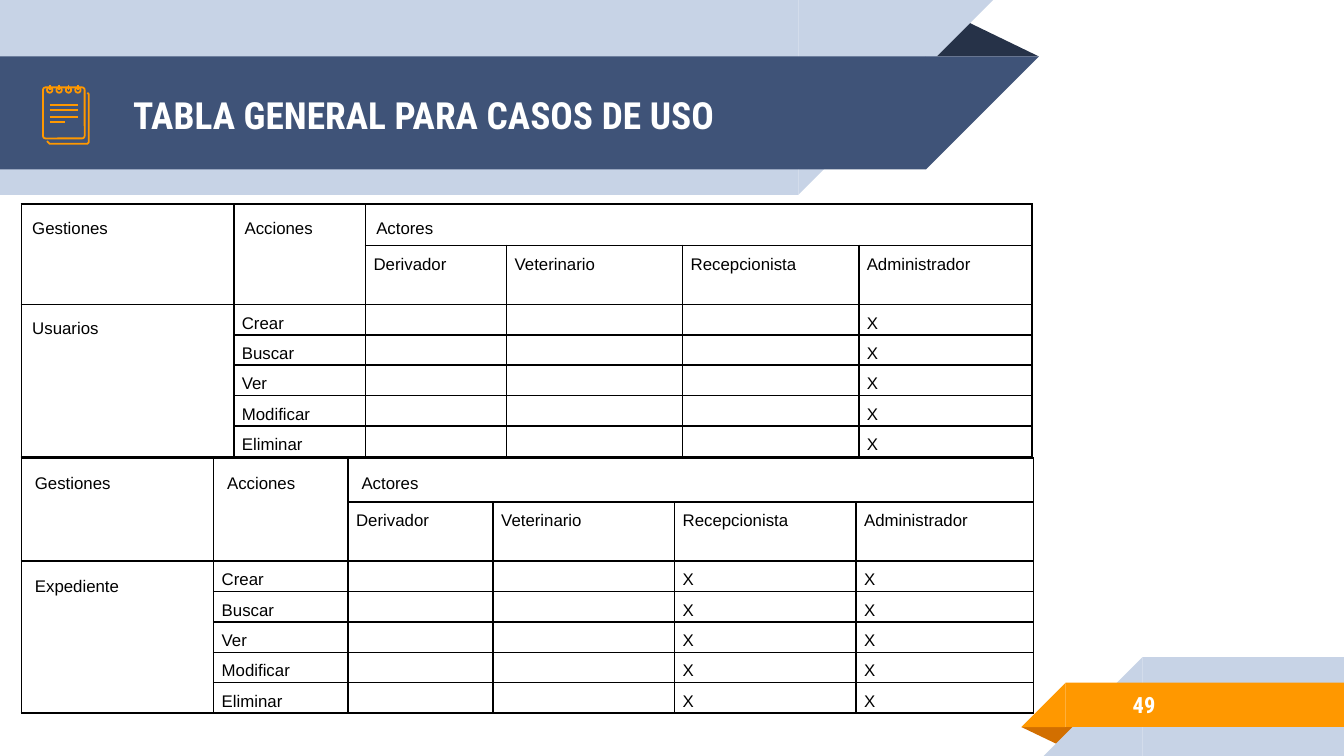
from lxml import etree
from pptx import Presentation
from pptx.dml.color import RGBColor
from pptx.enum.shapes import MSO_CONNECTOR, MSO_SHAPE
from pptx.enum.text import MSO_ANCHOR, PP_ALIGN
from pptx.oxml.ns import qn
from pptx.util import Inches, Pt

RECT = MSO_SHAPE.RECTANGLE
ROUND = MSO_SHAPE.ROUNDED_RECTANGLE
OVAL = MSO_SHAPE.OVAL
PEAK = MSO_SHAPE.ISOSCELES_TRIANGLE
WEDGE = MSO_SHAPE.RIGHT_TRIANGLE
STRAIGHT = MSO_CONNECTOR.STRAIGHT
MIDDLE = MSO_ANCHOR.MIDDLE
LEFT = PP_ALIGN.LEFT
JUSTIFY = PP_ALIGN.JUSTIFY

WHITE = RGBColor(0xFF, 0xFF, 0xFF)
BLACK = RGBColor(0, 0, 0)
NAVY = RGBColor(0x26, 0x32, 0x48)
BLUE = RGBColor(0x3F, 0x53, 0x78)
PALE = RGBColor(0xC7, 0xD3, 0xE6)
ORANGE = RGBColor(0xFF, 0x98, 0x00)
RUST = RGBColor(0xD2, 0x6F, 0x00)

COLS = 1000
UNIT = Inches(0.01)
HEAD = "Roboto Condensed"
BODY = "Arial"
ACTORS = ["Derivador", "Veterinario", "Recepcionista", "Administrador"]
ACTIONS = ["Crear", "Buscar", "Ver", "Modificar", "Eliminar"]


def grid(*cells):
    return [UNIT * n for n in cells]


def add_fill(slide, kind, box, color, turn=0):
    shape = slide.shapes.add_shape(kind, *grid(*box))
    shape.shadow.inherit = False
    shape.fill.solid()
    shape.fill.fore_color.rgb = color
    shape.line.fill.background()
    shape.rotation = turn
    if kind == PEAK:
        shape.adjustments[0] = 0.32


def set_line(shape):
    shape.line.color.rgb = ORANGE
    shape.line.width = Pt(0.96)


def add_ring(slide, kind, box):
    shape = slide.shapes.add_shape(kind, *grid(*box))
    shape.shadow.inherit = False
    shape.fill.background()
    set_line(shape)
    return shape


def add_stroke(slide, *ends):
    line = slide.shapes.add_connector(STRAIGHT, *grid(*ends))
    set_line(line)
    etree.SubElement(line.element.spPr, qn("a:effectLst"))


def add_path(slide, points):
    start, *rest = points
    pen = slide.shapes.build_freeform(*start, scale=UNIT)
    pen.add_line_segments(rest, close=False)
    shape = pen.convert_to_shape()
    shape.shadow.inherit = False
    shape.fill.background()
    set_line(shape)


def add_run(para, text, font, size, color, bold=False):
    run = para.add_run()
    run.text = text
    run.font.name = font
    run.font.size = Pt(size)
    run.font.color.rgb = color
    run.font.bold = bold


def set_text(shape, box, text, size):
    shape.left, shape.top, shape.width, shape.height = grid(*box)
    frame = shape.text_frame
    frame.word_wrap = True
    frame.vertical_anchor = MIDDLE
    frame.margin_left = frame.margin_right = Inches(0.1)
    frame.margin_top = frame.margin_bottom = Inches(0.1)
    para = frame.paragraphs[0]
    para.alignment = LEFT
    add_run(para, text, HEAD, size, WHITE, True)


def add_bands(slide):
    add_fill(slide, PEAK, (688, 14, 85, 28), NAVY)
    for top, width, side, color in ((0, 594, 145, PALE), (42, 689, 84, BLUE)):
        add_fill(slide, RECT, (0, top, width, side), color)
        add_fill(slide, WEDGE, (width, top, side, side), color, 90)
    add_fill(slide, PEAK, (760, 541, 43, 14), RUST, 180)
    for top, left, side, color in ((489, 850, 73.5, PALE), (508, 793, 33, ORANGE)):
        add_fill(slide, RECT, (left, top, COLS - left, side), color)
        add_fill(slide, WEDGE, (left - side, top, side, side), color, 270)


def add_pad(slide):
    add_path(slide, [(35, 105), (35.5, 106.5), (37, 107), (65, 107),
                     (66, 106), (66, 70), (65, 69)])
    cover = add_ring(slide, ROUND, (32, 65, 31, 38))
    cover.adjustments[0] = 0.06
    for row, end in ((78, 58), (82, 58), (87, 58), (91, 48)):
        add_stroke(slide, 37, row, end, row)
    for col in range(37, 59, 7):
        add_ring(slide, OVAL, (col - 2, 65, 4, 4))
        add_stroke(slide, col, 63, col, 67)


def set_cell(cell, text, pad):
    cell.margin_left = cell.margin_right = Inches(pad[0])
    cell.margin_top = cell.margin_bottom = Inches(pad[1])
    para = cell.text_frame.paragraphs[0]
    if text:
        para.alignment = JUSTIFY
        para.line_spacing = 1.5
        para.space_after = Pt(8)
        add_run(para, text, BODY, 9, BLACK)
    else:
        etree.SubElement(para._p, qn("a:endParaRPr"), sz="900")
    cell.fill.background()
    props = cell._tc.get_or_add_tcPr()
    for spot, side in enumerate(("lnL", "lnR", "lnT", "lnB")):
        edge = etree.Element(qn("a:" + side), w=str(Pt(1)))
        fill = etree.SubElement(edge, qn("a:solidFill"))
        etree.SubElement(fill, qn("a:srgbClr"), val=str(BLACK))
        props.insert(spot, edge)


def add_matrix(slide, top, widths, heights, name, marks, pad):
    rows = [["Gestiones", "Acciones", "Actores", "", "", ""],
            ["", "", *ACTORS]]
    rows += [[name if n == 0 else "", act, *marks]
             for n, act in enumerate(ACTIONS)]
    box = grid(16, top, sum(widths), sum(heights))
    table = slide.shapes.add_table(len(rows), len(widths), *box).table
    table.first_row = table.horz_banding = False
    for col, width in zip(table.columns, widths):
        col.width = UNIT * width
    for row, height in zip(table.rows, heights):
        row.height = UNIT * height
    large = {(0, 0), (0, 1), (0, 2), (2, 0)}
    for r, row in enumerate(rows):
        for c, text in enumerate(row):
            set_cell(table.cell(r, c), text, pad if (r, c) in large else (0.06, 0))
    for start, end in (((0, 0), (1, 0)), ((0, 1), (1, 1)),
                       ((0, 2), (0, 5)), ((2, 0), (6, 0))):
        table.cell(*start).merge(table.cell(*end))


def main():
    deck = Presentation()
    deck.slide_width = UNIT * COLS
    deck.slide_height = deck.slide_width * 9 // 16
    slide = deck.slides.add_slide(deck.slide_layouts[5])
    add_bands(slide)
    add_pad(slide)
    title = slide.shapes.title
    set_text(title, (89, 43, 575, 84), "TABLA GENERAL PARA CASOS DE USO", 20)
    title.element.getparent().append(title.element)
    box = (833, 507, 163, 35)
    set_text(slide.shapes.add_textbox(*grid(*box)), box, "49", 12)
    add_matrix(slide, 152, [158, 98, 105, 131, 131, 129], [20, 44] + [20] * 5,
               "Usuarios", ["", "", "", "X"], (0.08, 0.04))
    add_matrix(slide, 341, [143, 100, 108, 135, 135, 132], [28, 44] + [20] * 5,
               "Expediente", ["", "", "X", "X"], (0.1, 0.05))
    deck.save("out.pptx")


if __name__ == "__main__":
    main()
